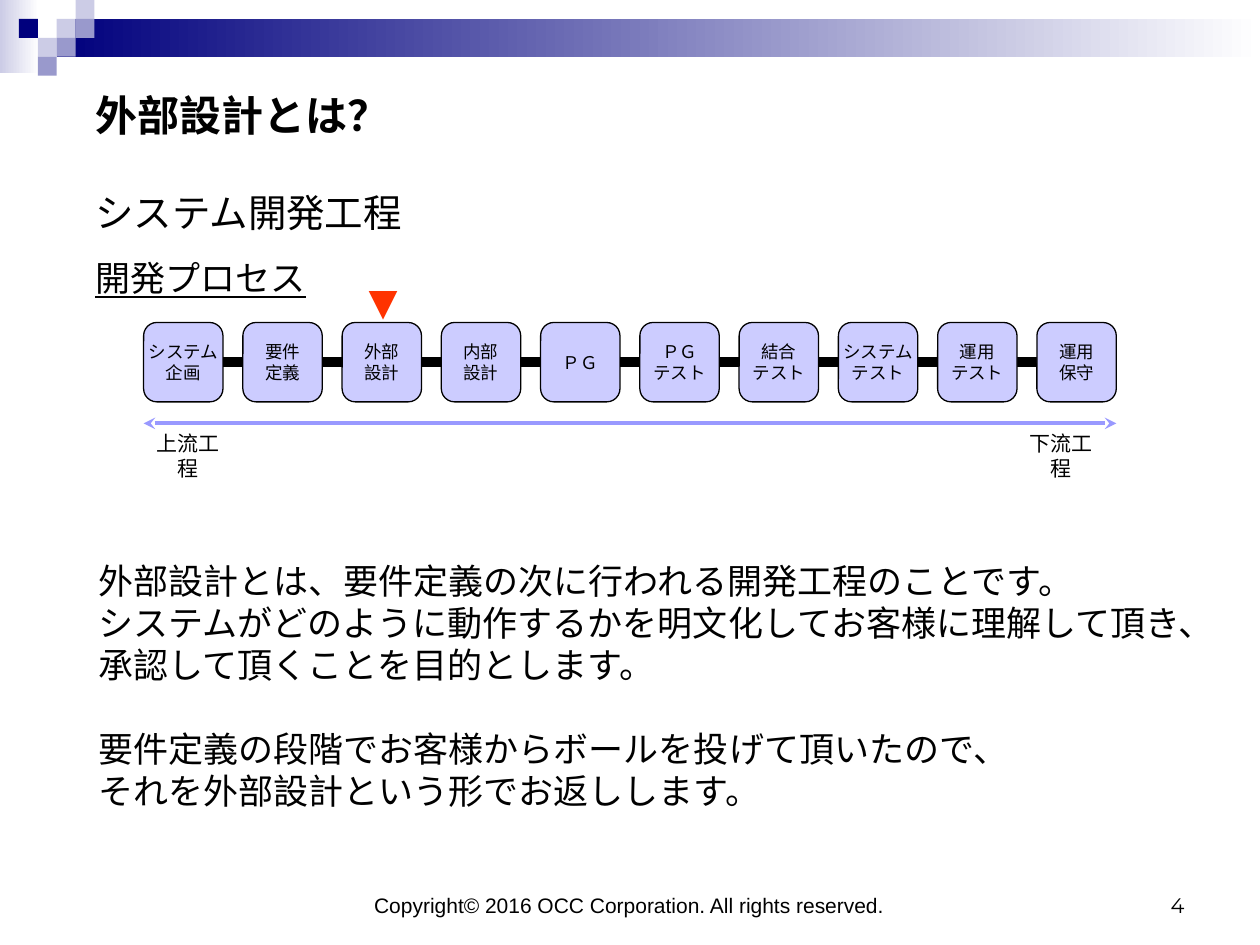
"""Builds the slide that explains external design within the development process."""
from dataclasses import dataclass
from typing import Any

import lxml.etree
import pptx
import pptx.dml.color
import pptx.enum.shapes
import pptx.enum.text
import pptx.oxml.ns
import pptx.util

Inches = pptx.util.Inches
SHAPE = pptx.enum.shapes.MSO_SHAPE
ALIGN = pptx.enum.text.PP_ALIGN
ANCHOR = pptx.enum.text.MSO_ANCHOR
AUTO_SIZE = pptx.enum.text.MSO_AUTO_SIZE

CELL = 0.15
STEP_LEFT, STEP_TOP, STEP_SIZE = 1.14, 2.56, 0.63
LAST_STEP_LEFT = 8.23
STEPS = [
    ("システム", "企画"), ("要件", "定義"), ("外部", "設計"), ("内部", "設計"), ("ＰＧ",),
    ("ＰＧ", "テスト"), ("結合", "テスト"), ("システム", "テスト"), ("運用", "テスト"), ("運用", "保守"),
]


@dataclass
class Box:
    left: float
    top: float
    width: float
    height: float

    def lengths(self) -> list[int]:
        return [Inches(v) for v in (self.left, self.top, self.width, self.height)]


@dataclass
class Style:
    size: float
    color: str = "000000"
    font: str = "Arial"
    bold: bool = False
    underline: bool = False
    align: Any = ALIGN.LEFT


@dataclass
class Label:
    box: Box
    lines: tuple[str, ...]
    style: Style
    gap_before: int = -1
    footer: bool = False


@dataclass
class Square:
    column: int
    row: int
    color: str


SQUARES = [
    Square(3, 1, "CCCCE6"), Square(4, 0, "CCCCE6"), Square(4, 1, "9999CC"), Square(2, 2, "CCCCE6"),
    Square(1, 1, "00007D"), Square(3, 2, "9999CC"), Square(2, 3, "9999CC"),
]
LABELS = [
    Label(Box(1.06, 3.37, 0.86, 0.3), ("上流工程",), Style(12, align=ALIGN.CENTER)),
    Label(Box(7.99, 3.37, 0.86, 0.3), ("下流工程",), Style(12, align=ALIGN.CENTER)),
    Label(Box(2.75, 2.1, 0.58, 0.57), ("▼",), Style(28, "FF3300", align=ALIGN.CENTER)),
    Label(Box(2.36, 6.83, 5.27, 0.5), ("Copyright© 2016 OCC Corporation. All rights reserved.",),
          Style(12, align=ALIGN.CENTER), footer=True),
    Label(Box(7.17, 6.83, 2.33, 0.5), ("4",), Style(12, font="Montserrat", align=ALIGN.RIGHT), footer=True),
    Label(Box(0.68, 4.39, 9.1, 2.1),
          ("外部設計とは、要件定義の次に行われる開発工程のことです。",
           "システムがどのように動作するかを明文化してお客様に理解して頂き、",
           "承認して頂くことを目的とします。",
           "要件定義の段階でお客様からボールを投げて頂いたので、",
           "それを外部設計という形でお返しします。"),
          Style(20, font="Noto Sans CJK JP"), gap_before=3),
    Label(Box(0.66, 0.66, 2.53, 0.5), ("外部設計とは？",), Style(24, bold=True)),
]
HEADINGS = [
    Label(Box(0.66, 1.45, 2.64, 0.47), ("システム開発工程",), Style(22)),
    Label(Box(0.66, 1.99, 1.87, 0.44), ("開発プロセス",), Style(20, underline=True)),
]


def rgb(color: str) -> pptx.dml.color.RGBColor:
    return pptx.dml.color.RGBColor.from_string(color)


def assign(target: Any, values: dict[str, Any]) -> None:
    for name, value in values.items():
        setattr(target, name, value)


def write(frame: Any, lines: tuple[str, ...], style: Style, gap_before: int = -1) -> None:
    for index, line in enumerate(lines):
        paragraph = frame.paragraphs[0] if index == 0 else frame.add_paragraph()
        paragraph.alignment = style.align
        if index == gap_before:
            paragraph.space_before = pptx.util.Pt(24)
        run = paragraph.add_run()
        run.text = line
        assign(run.font, {"size": pptx.util.Pt(style.size), "name": style.font,
                          "bold": style.bold, "underline": style.underline})
        run.font.color.rgb = rgb(style.color)


def add_label(shapes: Any, label: Label) -> None:
    frame = shapes.add_textbox(*label.box.lengths()).text_frame
    assign(frame, {
        "word_wrap": label.footer,
        "auto_size": AUTO_SIZE.NONE if label.footer else AUTO_SIZE.SHAPE_TO_FIT_TEXT,
        "vertical_anchor": ANCHOR.BOTTOM if label.footer else ANCHOR.TOP,
    })
    write(frame, label.lines, label.style, label.gap_before)


def add_block(shapes: Any, box: Box, *colors: str) -> None:
    block = shapes.add_shape(SHAPE.RECTANGLE, *box.lengths())
    block.shadow.inherit = False
    block.line.fill.background()
    if len(colors) == 1:
        block.fill.solid()
        block.fill.fore_color.rgb = rgb(colors[0])
        return
    block.fill.gradient()
    block.fill.gradient_angle = 0
    for stop, color in zip(block.fill.gradient_stops, colors):
        stop.color.rgb = rgb(color)


def add_line(shapes: Any, start: float, end: float, y: float, color: str, width: float,
             arrows: bool = False) -> Any:
    line = shapes.add_connector(pptx.enum.shapes.MSO_CONNECTOR.STRAIGHT,
                                Inches(start), Inches(y), Inches(end), Inches(y))
    line.line.color.rgb = rgb(color)
    line.line.width = pptx.util.Pt(width)
    properties = line._element.spPr
    if arrows:
        outline = properties.find(pptx.oxml.ns.qn("a:ln"))
        for tip in ("a:headEnd", "a:tailEnd"):
            lxml.etree.SubElement(outline, pptx.oxml.ns.qn(tip), type="stealth")
    lxml.etree.SubElement(properties, pptx.oxml.ns.qn("a:effectLst"))
    return line


def add_step(shapes: Any, left: float, lines: tuple[str, ...]) -> Any:
    step = shapes.add_shape(SHAPE.ROUNDED_RECTANGLE, *Box(left, STEP_TOP, STEP_SIZE, STEP_SIZE).lengths())
    step.shadow.inherit = False
    step.fill.solid()
    step.fill.fore_color.rgb = rgb("CCCCFF")
    step.line.color.rgb = rgb("000000")
    step.line.width = pptx.util.Pt(0.75)
    assign(step.text_frame, {"word_wrap": False, "vertical_anchor": ANCHOR.MIDDLE})
    write(step.text_frame, lines, Style(10, align=ALIGN.CENTER))
    return step


def main() -> None:
    deck = pptx.Presentation()
    assign(deck, {"slide_width": Inches(10), "slide_height": Inches(7.5)})
    shapes = deck.slides.add_slide(deck.slide_layouts[6]).shapes

    add_block(shapes, Box(0, 0, 0.31, 0.58), "CCCCE6", "FFFFFF")
    add_block(shapes, Box(0.45, 0.15, 9.55, 0.3), "00007D", "FFFFFF")
    for square in SQUARES:
        add_block(shapes, Box(square.column * CELL, square.row * CELL, CELL, CELL), square.color)
    for heading in HEADINGS:
        add_label(shapes, heading)

    process_end = LAST_STEP_LEFT + STEP_SIZE
    process_line = add_line(shapes, 1.37, process_end, STEP_TOP + STEP_SIZE / 2, "000000", 6)
    pitch = (LAST_STEP_LEFT - STEP_LEFT) / (len(STEPS) - 1)
    steps = [add_step(shapes, STEP_LEFT + i * pitch, lines) for i, lines in enumerate(STEPS)]
    process_line.end_connect(steps[-1], 3)
    add_line(shapes, STEP_LEFT, process_end, 3.36, "9999FF", 2.25, arrows=True)
    for label in LABELS:
        add_label(shapes, label)
    deck.save("out.pptx")


if __name__ == "__main__":
    main()
